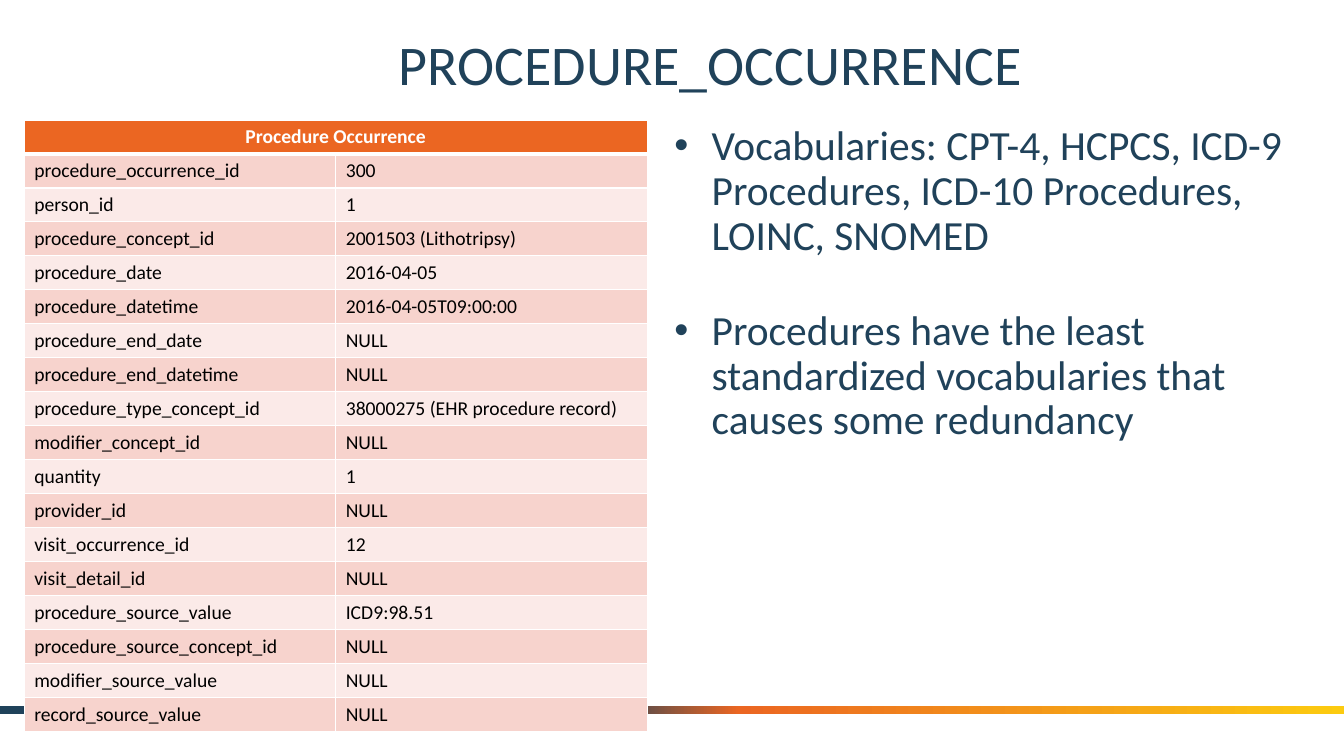
from copy import deepcopy
from dataclasses import dataclass

from pptx import Presentation
from pptx import util as u
from pptx.dml.color import RGBColor
from pptx.enum import shapes, text
from pptx.oxml import parse_xml
from pptx.oxml.ns import nsdecls

NAVY, ORANGE, GOLD, WHITE, BLACK = "20425A", "EB6622", "FCCB10", "FFFFFF", "000000"
BANDS = ("F7D3CD", "FBEAE8")


@dataclass
class Field:
    name: str
    value: str = "NULL"


@dataclass
class Box:
    left: float
    top: float
    width: float
    height: float

    def place(self) -> tuple:
        return tuple(map(u.Inches, (self.left, self.top, self.width, self.height)))


@dataclass
class Style:
    size: float
    hue: str
    bold: bool = False


FIELDS = [
    Field("procedure_occurrence_id", "300"),
    Field("person_id", "1"),
    Field("procedure_concept_id", "2001503 (Lithotripsy)"),
    Field("procedure_date", "2016-04-05"),
    Field("procedure_datetime", "2016-04-05T09:00:00"),
    Field("procedure_end_date"),
    Field("procedure_end_datetime"),
    Field("procedure_type_concept_id", "38000275 (EHR procedure record)"),
    Field("modifier_concept_id"),
    Field("quantity", "1"),
    Field("provider_id"),
    Field("visit_occurrence_id", "12"),
    Field("visit_detail_id"),
    Field("procedure_source_value", "ICD9:98.51"),
    Field("procedure_source_concept_id"),
    Field("modifier_source_value"),
    Field("record_source_value"),
]
POINTS = [
    "Vocabularies: CPT-4, HCPCS, ICD-9 Procedures, ICD-10 Procedures, LOINC, SNOMED",
    "Procedures have the least standardized vocabularies that causes some redundancy",
]


def color(code: str) -> RGBColor:
    return RGBColor.from_string(code)


def write(para, words: str, style: Style) -> None:
    run = para.add_run()
    run.text = words
    run.font.name = "Calibri"
    run.font.size = u.Pt(style.size)
    run.font.bold = style.bold
    run.font.color.rgb = color(style.hue)


def add_bar(slide, box: Box) -> None:
    bar = slide.shapes.add_shape(shapes.MSO_SHAPE.RECTANGLE, *box.place())
    bar.shadow.inherit = False
    bar.line.fill.background()
    bar.fill.gradient()
    bar.fill.gradient_angle = 0
    first = bar.fill._fill._gradFill.gsLst[0]
    first.addnext(deepcopy(first))
    stops = ((0.44, NAVY), (0.55, ORANGE), (1, GOLD))
    for stop, (spot, hue) in zip(bar.fill.gradient_stops, stops):
        stop.position = spot
        stop.color.rgb = color(hue)


def fill_cell(cell, words: str, hue: str, style: Style, base: int = 1) -> None:
    write(cell.text_frame.paragraphs[0], words, style)
    edges = {"lnL": 1, "lnR": 1, "lnT": 1, "lnB": base}
    for tag, width in edges.items():
        cell._tc.get_or_add_tcPr().append(parse_xml(
            f'<a:{tag} {nsdecls("a")} w="{u.Pt(width)}"><a:solidFill>'
            f'<a:srgbClr val="{WHITE}"/></a:solidFill></a:{tag}>'))
    cell.fill.solid()
    cell.fill.fore_color.rgb = color(hue)


def add_grid(slide, box: Box) -> None:
    grid = slide.shapes.add_table(len(FIELDS) + 1, 2, *box.place()).table
    for row in grid.rows:
        row.height = u.Inches(0.32)
    head = grid.cell(0, 0)
    head.merge(grid.cell(0, 1))
    fill_cell(head, "Procedure Occurrence", ORANGE, Style(14, WHITE, True), 3)
    head.text_frame.paragraphs[0].alignment = text.PP_ALIGN.CENTER
    for row, field in enumerate(FIELDS, 1):
        for col, words in enumerate((field.name, field.value)):
            fill_cell(grid.cell(row, col), words, BANDS[(row - 1) % 2], Style(14, BLACK))


def add_frame(slide, box: Box):
    frame = slide.shapes.add_textbox(*box.place()).text_frame
    frame.word_wrap = True
    return frame


def add_points(slide, box: Box) -> None:
    frame = add_frame(slide, box)
    for num, words in enumerate(POINTS):
        para = frame.add_paragraph() if num else frame.paragraphs[0]
        props = para._p.get_or_add_pPr()
        props.set("marL", str(u.Inches(0.38)))
        props.set("indent", str(u.Inches(-0.37)))
        for mark in (f'<a:buClr {nsdecls("a")}><a:srgbClr val="{NAVY}"/></a:buClr>',
                     f'<a:buSzPct {nsdecls("a")} val="97000"/>',
                     f'<a:buFont {nsdecls("a")} typeface="Arial"/>',
                     f'<a:buChar {nsdecls("a")} char="•"/>'):
            props.append(parse_xml(mark))
        para.line_spacing = 0.9
        if num:
            para.space_before = u.Pt(36)
        write(para, words, Style(29.6, NAVY))


def add_title(slide, box: Box) -> None:
    frame = add_frame(slide, box)
    frame.vertical_anchor = text.MSO_ANCHOR.MIDDLE
    para = frame.paragraphs[0]
    para.alignment = text.PP_ALIGN.CENTER
    write(para, "PROCEDURE_OCCURRENCE", Style(40, NAVY))


def main() -> None:
    deck = Presentation()
    deck.slide_width, deck.slide_height = u.Inches(13.33), u.Inches(7.5)
    slide = deck.slides.add_slide(deck.slide_layouts[6])
    # Footer bar, behind the table
    add_bar(slide, Box(0, 7, 13.33, 0.08))
    # Table of fields
    add_grid(slide, Box(0.24, 1.19, 6.18, 5.76))
    # Bullets and title
    add_points(slide, Box(6.58, 1.19, 6.75, 5.37))
    add_title(slide, Box(2.92, 0.17, 8.25, 0.92))
    deck.save("out.pptx")


if __name__ == "__main__":
    main()
